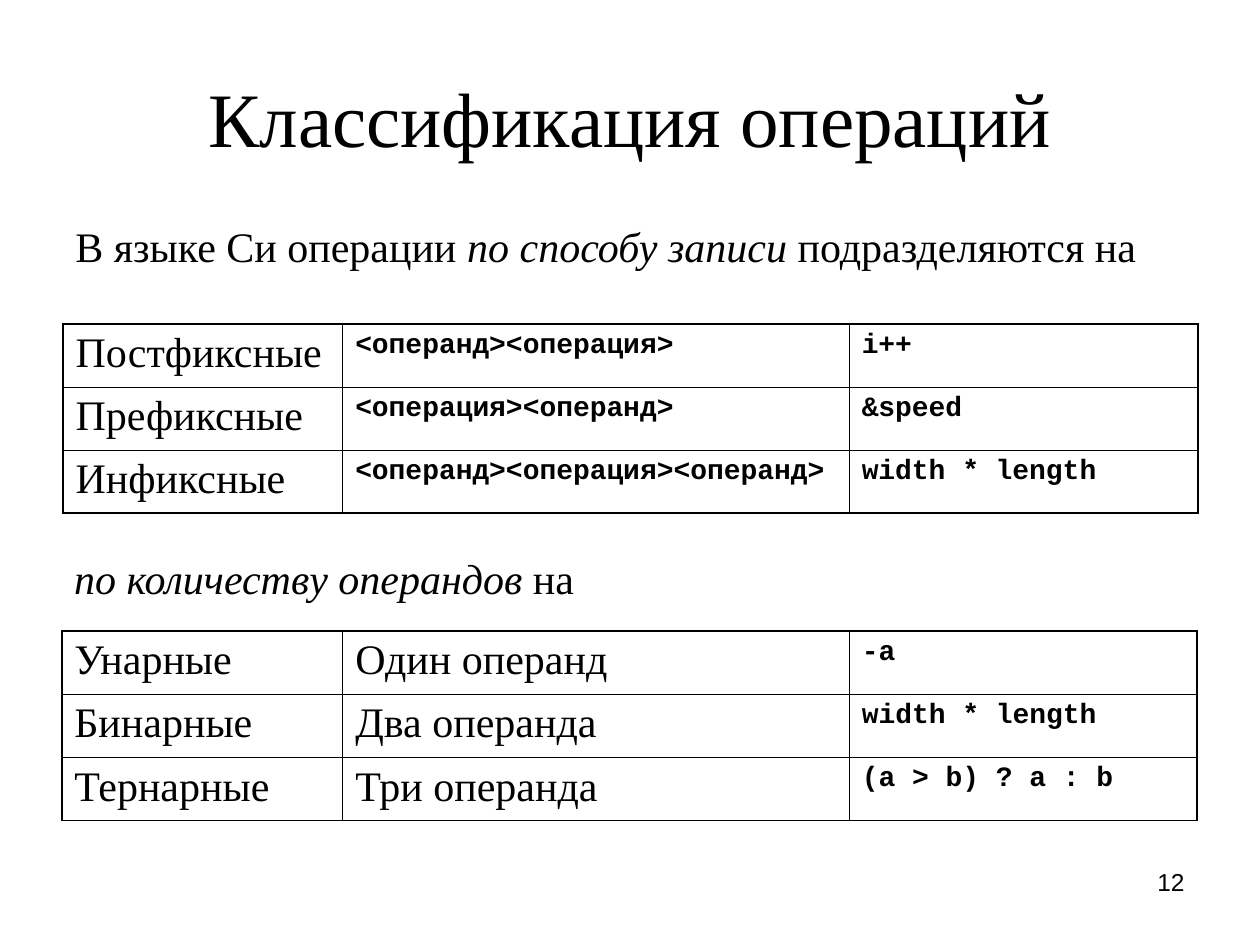
from lxml.etree import SubElement
from pptx import Presentation
from pptx.dml.color import RGBColor
from pptx.enum.text import MSO_ANCHOR, PP_ALIGN
from pptx.oxml.ns import qn
from pptx.util import Inches, Pt

BLACK = "000000"
SERIF, MONO, SANS = "Times New Roman", "Courier New", "Arial"
OUTER, INNER = 1.08, 0.45


def format_run(run, name, size, bold=False, italic=False, color=BLACK):
    font = run.font
    font.name, font.size = name, Pt(size)
    font.bold, font.italic = bold, italic
    font.color.rgb = RGBColor.from_string(color)


def add_border(cell, side, width, color=BLACK):
    line = SubElement(cell._tc.get_or_add_tcPr(), qn(f"a:ln{side}"), w=str(Pt(width)))
    fill = SubElement(line, qn("a:solidFill"))
    SubElement(fill, qn("a:srgbClr"), val=color)


presentation = Presentation()
presentation.slide_width, presentation.slide_height = Inches(10), Inches(7.5)
slide = presentation.slides.add_slide(presentation.slide_layouts[5])

# Title
title = slide.shapes.title
title.left, title.top = Inches(0.5), Inches(0.3)
title.width, title.height = Inches(9), Inches(1.25)
title.text_frame.text = "Классификация операций"
title.text_frame.vertical_anchor = MSO_ANCHOR.MIDDLE
title.text_frame.paragraphs[0].alignment = PP_ALIGN.CENTER
format_run(title.text_frame.paragraphs[0].runs[0], SERIF, 44)

# Lead-in lines: left, top, runs as (text, italic)
lead_ins = [
    (0.5, 1.75, [("В языке Си операции ", False), ("по способу записи", True),
                 (" подразделяются на", False)]),
    (0.49, 4.38, [("по количеству операндов", True), (" на", False)]),
]
for left, top, pieces in lead_ins:
    text_box = slide.shapes.add_textbox(Inches(left), Inches(top), Inches(9), Inches(0.5))
    text_box.text_frame.word_wrap = True
    paragraph = text_box.text_frame.paragraphs[0]
    paragraph.line_spacing = 0.9
    paragraph.space_before = Pt(6)
    properties = paragraph._p.get_or_add_pPr()
    properties.set("marL", str(Inches(0.38)))
    properties.set("indent", str(Inches(-0.38)))
    for text, italic in pieces:
        run = paragraph.add_run()
        run.text = text
        format_run(run, SERIF, 24, italic=italic)

# Tables: left, top, column widths, column fonts, rows
tables = [
    (0.5, 2.57, (2.22, 4.02, 2.77), (SERIF, MONO, MONO), [
        ("Постфиксные", "<операнд><операция>", "i++"),
        ("Префиксные", "<операция><операнд>", "&speed"),
        ("Инфиксные", "<операнд><операция><операнд>", "width * length"),
    ]),
    (0.49, 5.01, (2.23, 4.02, 2.76), (SERIF, SERIF, MONO), [
        ("Унарные", "Один операнд", "-a"),
        ("Бинарные", "Два операнда", "width * length"),
        ("Тернарные", "Три операнда", "(a > b) ? a : b"),
    ]),
]
for left, top, widths, fonts, rows in tables:
    last_row, last_column = len(rows) - 1, len(widths) - 1
    table = slide.shapes.add_table(len(rows), len(widths), Inches(left), Inches(top),
                                   Inches(9), Inches(1.5)).table
    table.first_row = table.horz_banding = False
    for column, width in zip(table.columns, widths):
        column.width = Inches(width)
    for row_index, row in enumerate(rows):
        table.rows[row_index].height = Inches(0.5)
        for column_index, text in enumerate(row):
            cell = table.cell(row_index, column_index)
            cell.text_frame.text = text
            mono = fonts[column_index] == MONO
            paragraph = cell.text_frame.paragraphs[0]
            paragraph.space_before = Pt(4 if mono else 6)
            format_run(paragraph.runs[0], fonts[column_index], 16 if mono else 24, bold=mono)
            edges = {"L": column_index == 0, "R": column_index == last_column,
                     "T": row_index == 0, "B": row_index == last_row}
            for side, on_edge in edges.items():
                add_border(cell, side, OUTER if on_edge else INNER)
            cell.fill.background()

# Slide number
number_box = slide.shapes.add_textbox(Inches(7.17), Inches(6.83), Inches(2.33), Inches(0.52))
number_box.text_frame.word_wrap = True
number_box.text_frame.text = "12"
paragraph = number_box.text_frame.paragraphs[0]
paragraph.alignment = PP_ALIGN.RIGHT
format_run(paragraph.runs[0], SANS, 14)

presentation.save("out.pptx")
